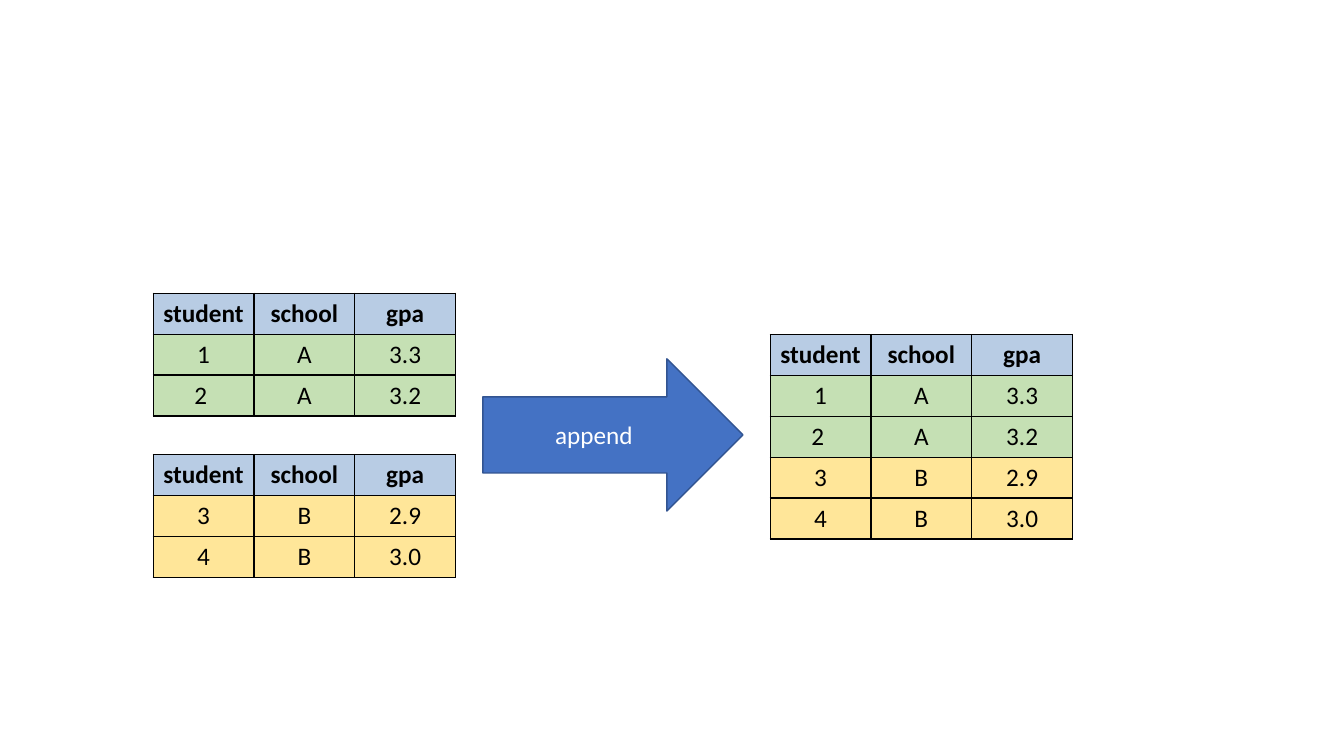
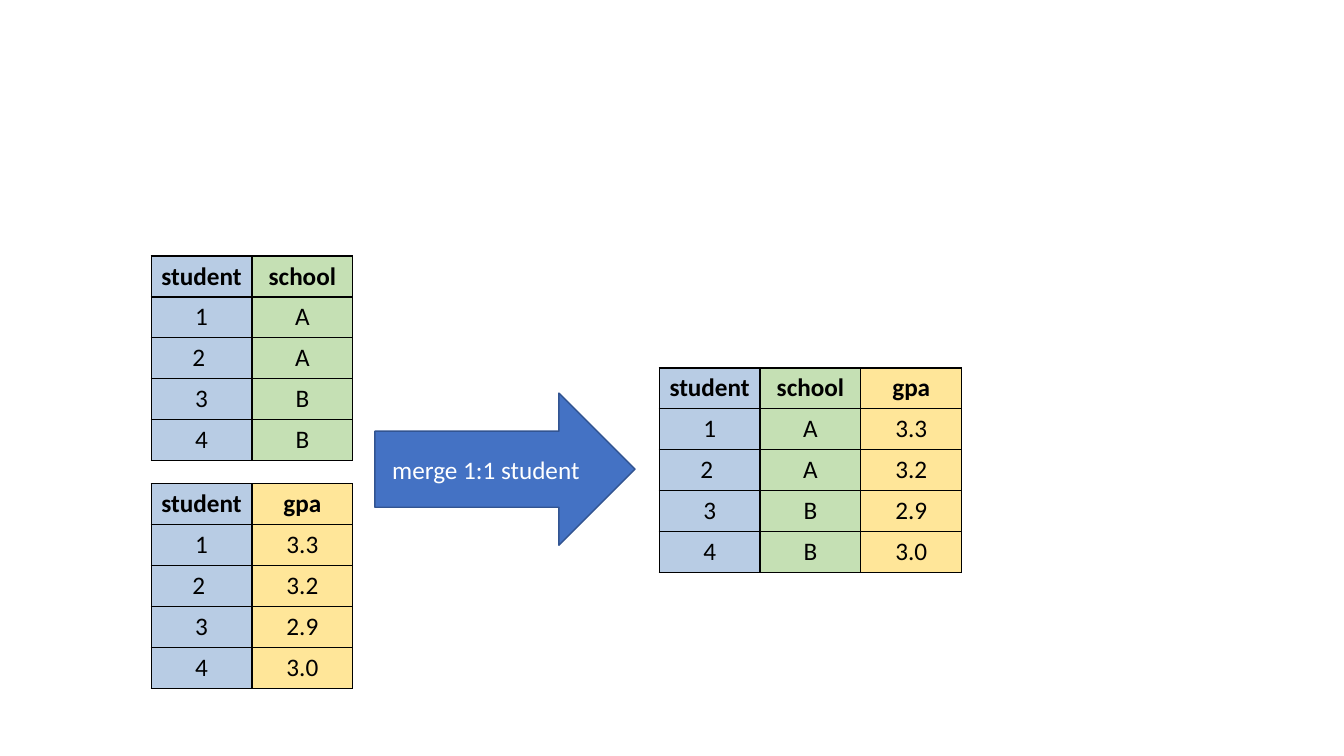
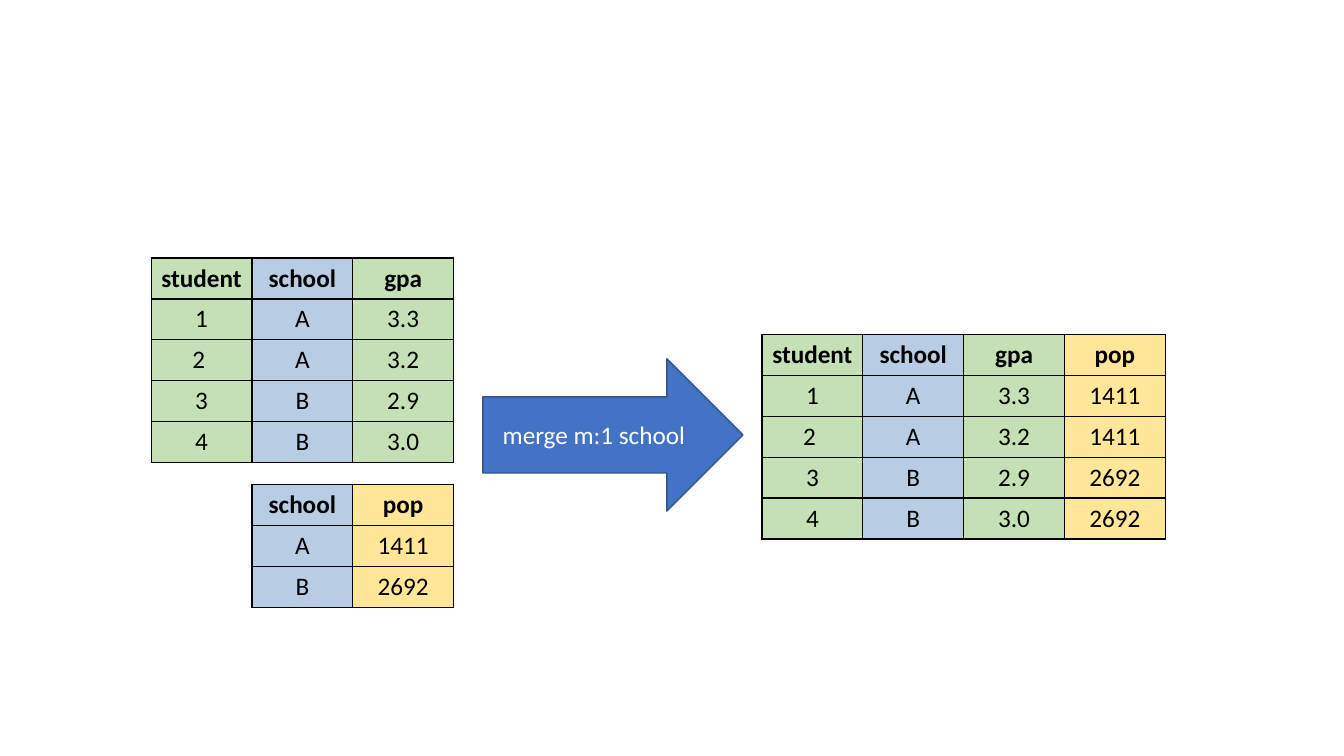
from dataclasses import dataclass

from lxml import etree
from pptx import Presentation
from pptx.dml.color import RGBColor
from pptx.enum import shapes, text
from pptx.oxml import ns
from pptx.util import Pt


@dataclass(frozen=True)
class Theme:
    """Colours, type and sizes (in points) that all slides share."""
    blue: str = "B8CCE4"
    green: str = "C5E0B4"
    yellow: str = "FFE699"
    arrow: str = "4472C4"
    arrow_line: str = "325491"
    ink: str = "000000"
    white: str = "FFFFFF"
    font: str = "Calibri"
    size: float = 18
    line: float = 1
    column: float = 72
    row: float = 24
    row_space: float = 28.8
    cell_margin: float = 5
    arrow_width: float = 185.8
    arrow_height: float = 108.7


THEME = Theme()
BLANK_LAYOUT = 6

STUDENTS = {
    "student": ["1", "2 ", "3", "4"],
    "school": ["A", "A", "B", "B"],
    "gpa": ["3.3", "3.2", "2.9", "3.0"],
    "pop": ["1411", "1411", "2692", "2692"],
}
SCHOOLS = {"school": ["A", "B"], "pop": ["1411", "2692"]}


def colour(value):
    """Turn a hex value into a colour."""
    return RGBColor.from_string(value)


def records(data, names, start=0, stop=None):
    """Return a header row and the chosen rows of the named columns."""
    columns = [data[name][start:stop] for name in names]
    return [names, *zip(*columns)]


def row_fills(rows, fills):
    """Give each row one fill."""
    return [[fill] * len(row) for row, fill in zip(rows, fills)]


def column_fills(rows, fills):
    """Give each column one fill."""
    return [fills] * len(rows)


def style_text(frame, value, ink, bold=False):
    """Write one centred paragraph in the shared type."""
    para = frame.paragraphs[0]
    para.text = value
    para.alignment = text.PP_ALIGN.CENTER
    para.font.name = THEME.font
    para.font.size = Pt(THEME.size)
    para.font.bold = bold
    para.font.color.rgb = colour(ink)


def add_borders(cell):
    """Draw a thin line on all four sides of a cell."""
    properties = cell._tc.get_or_add_tcPr()
    for side in ("a:lnL", "a:lnR", "a:lnT", "a:lnB"):
        line = etree.SubElement(properties, ns.qn(side), w=str(Pt(THEME.line)))
        fill = etree.SubElement(line, ns.qn("a:solidFill"))
        etree.SubElement(fill, ns.qn("a:srgbClr"), val=THEME.ink)


def add_grid(page, left, top, rows, fills):
    """Add a bordered table with a bold header row."""
    frame = page.shapes.add_table(
        len(rows), len(rows[0]), Pt(left), Pt(top),
        Pt(THEME.column * len(rows[0])), Pt(THEME.row * len(rows)))
    table = frame.table
    table.first_row = table.horz_banding = False
    for r, values in enumerate(rows):
        table.rows[r].height = Pt(THEME.row)
        for c, value in enumerate(values):
            cell = table.cell(r, c)
            cell.margin_left = cell.margin_right = Pt(THEME.cell_margin)
            add_borders(cell)
            cell.fill.solid()
            cell.fill.fore_color.rgb = colour(fills[r][c])
            style_text(cell.text_frame, value, THEME.ink, bold=r == 0)
    frame.height = Pt(THEME.row_space * len(rows))


def add_arrow(page, left, top, label):
    """Add a labelled block arrow that points right."""
    arrow = page.shapes.add_shape(
        shapes.MSO_SHAPE.RIGHT_ARROW, Pt(left), Pt(top),
        Pt(THEME.arrow_width), Pt(THEME.arrow_height))
    arrow.shadow.inherit = False
    arrow.fill.solid()
    arrow.fill.fore_color.rgb = colour(THEME.arrow)
    arrow.line.color.rgb = colour(THEME.arrow_line)
    arrow.line.width = Pt(THEME.line)
    arrow.text_frame.vertical_anchor = text.MSO_ANCHOR.MIDDLE
    style_text(arrow.text_frame, label, THEME.white)


def build_append(page):
    """Show two tables with the same columns stacked into one."""
    names = ["student", "school", "gpa"]
    blue, green, yellow = THEME.blue, THEME.green, THEME.yellow
    first = records(STUDENTS, names, stop=2)
    second = records(STUDENTS, names, start=2)
    combined = records(STUDENTS, names)
    add_grid(page, 109.4, 209.5, first, row_fills(first, [blue, green, green]))
    add_arrow(page, 344.9, 256.3, "append")
    add_grid(page, 550.1, 239, combined,
             row_fills(combined, [blue, green, green, yellow, yellow]))
    add_grid(page, 109.4, 324.7, second,
             row_fills(second, [blue, yellow, yellow]))


def build_merge(page, label, arrow_at, tables):
    """Show two tables merged on a key, with one fill per column."""
    add_arrow(page, *arrow_at, label)
    for left, top, data, fills in tables:
        rows = records(data, list(fills))
        add_grid(page, left, top, rows,
                 column_fills(rows, list(fills.values())))


def main():
    """Build and save the deck."""
    deck = Presentation()
    deck.slide_width, deck.slide_height = Pt(960), Pt(540)
    append, one_to_one, many_to_one = (
        deck.slides.add_slide(deck.slide_layouts[BLANK_LAYOUT])
        for _ in range(3))
    blue, green, yellow = THEME.blue, THEME.green, THEME.yellow

    build_append(append)
    build_merge(one_to_one, "merge 1:1 student", (267.8, 280.8), [
        (108, 182.9, STUDENTS, {"student": blue, "school": green}),
        (470.9, 262.8, STUDENTS,
         {"student": blue, "school": green, "gpa": yellow}),
        (108, 345.6, STUDENTS, {"student": blue, "gpa": yellow}),
    ])
    build_merge(many_to_one, "merge m:1 school", (344.9, 256.3), [
        (108, 184.3, STUDENTS,
         {"student": green, "school": blue, "gpa": green}),
        (544.3, 239, STUDENTS,
         {"student": green, "school": blue, "gpa": green, "pop": yellow}),
        (180, 346.3, SCHOOLS, {"school": blue, "pop": yellow}),
    ])
    deck.save("out.pptx")


main()
